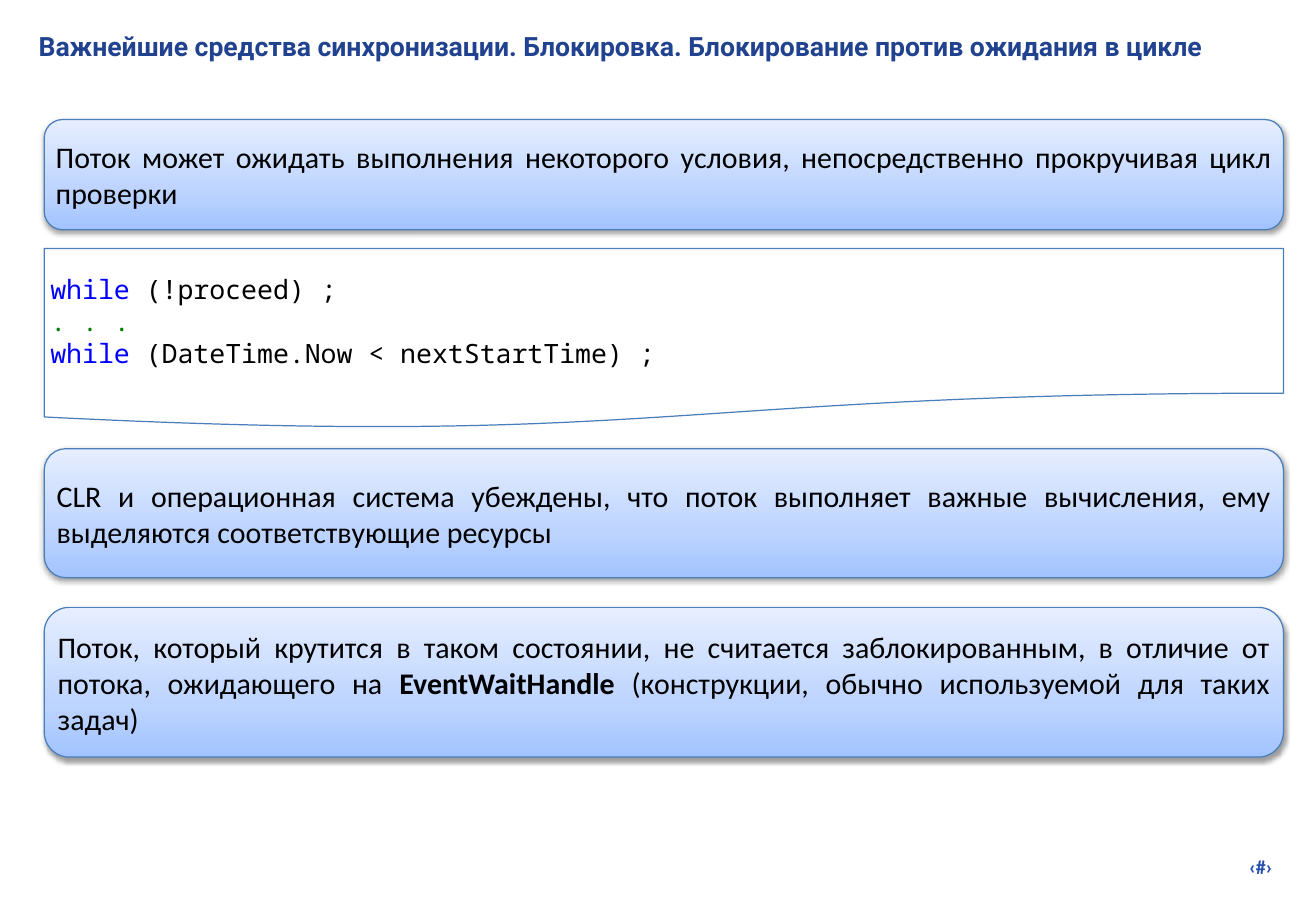
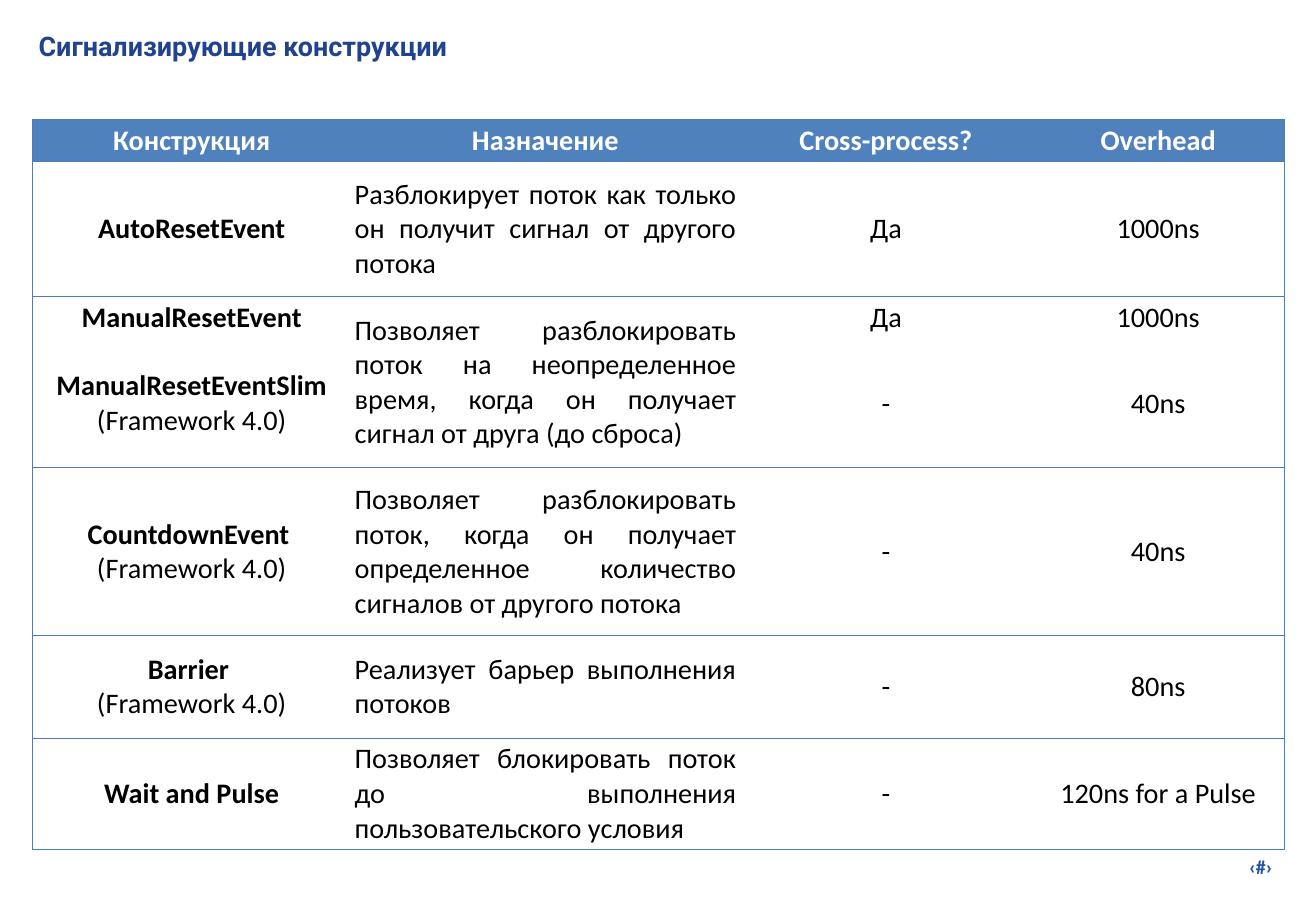
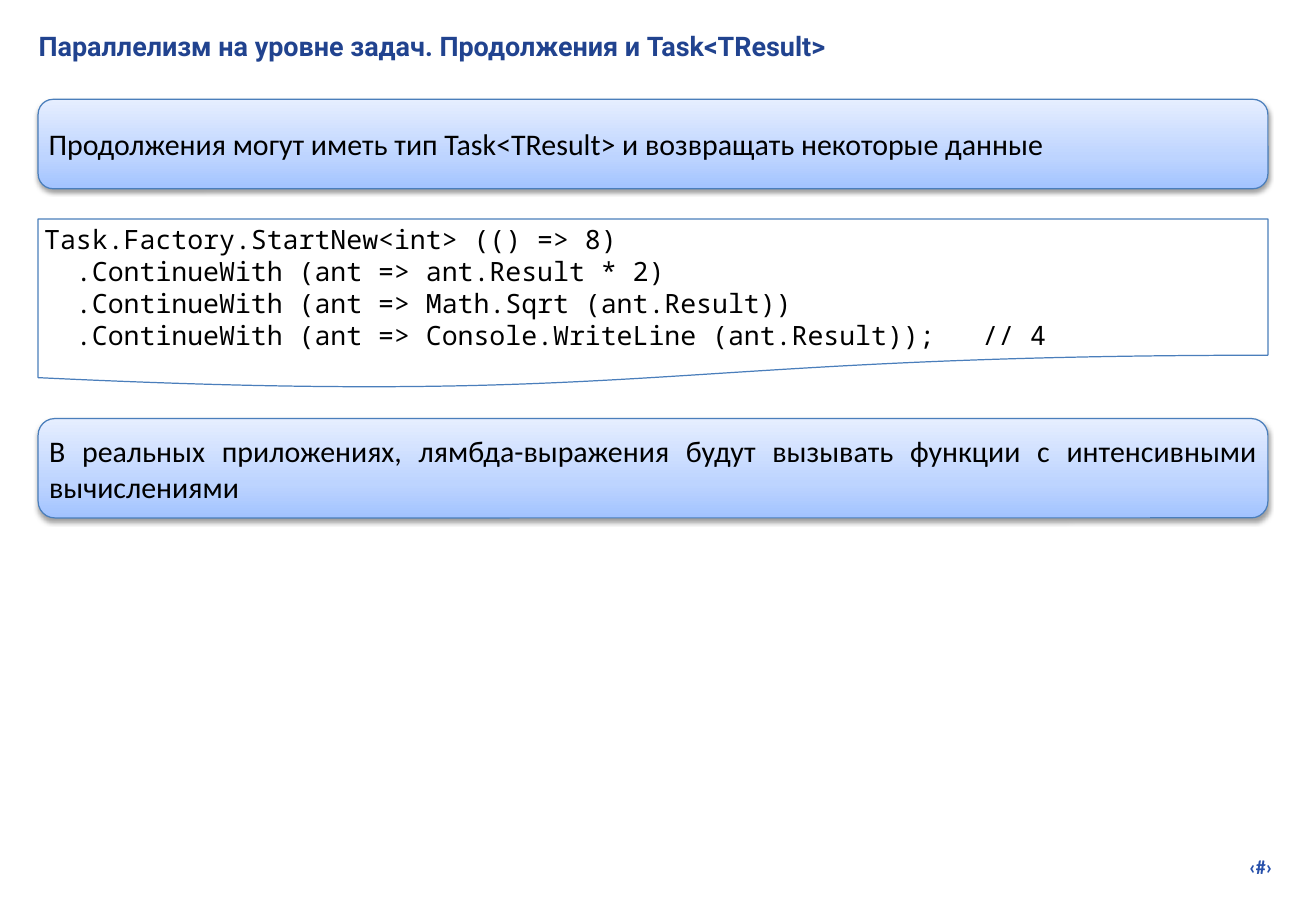
from copy import deepcopy
from dataclasses import dataclass

from lxml.etree import SubElement
from pptx import Presentation
from pptx.dml.color import RGBColor
from pptx.enum.shapes import MSO_SHAPE as Shape
from pptx.enum.text import MSO_ANCHOR as Anchor, MSO_AUTO_SIZE as AutoSize, PP_ALIGN as Align
from pptx.oxml.ns import qn
from pptx.util import Cm, Pt

WHITE, BLACK = "FFFFFF", "000000"
TITLE_BLUE, NUMBER_BLUE = "21438F", "2750AB"
LINE_BLUE, HEADER_BLUE = "4A7EBB", "4F81BD"
KEYWORD, COMMENT = "0000FF", "008000"
PANEL_STOPS = [(0, "A2C3FF"), (0.35, "BDD4FF"), (1, "E6EEFF")]


def color(value):
    return RGBColor.from_string(value)


@dataclass(frozen=True)
class TextStyle:
    size: float
    font: str = "Calibri"
    color: str = BLACK
    bold: bool = False
    align: Align = Align.LEFT


PANEL_TEXT = TextStyle(18, align=Align.JUSTIFY)
CODE_TEXT = TextStyle(16, "Noto Sans Mono")
NUMBER_TEXT = TextStyle(12, color=NUMBER_BLUE, bold=True, align=Align.RIGHT)
HEADER_TEXT = TextStyle(17, color=WHITE, bold=True, align=Align.CENTER)
CELL_TEXT = TextStyle(17, align=Align.CENTER)
PURPOSE_TEXT = TextStyle(17, align=Align.JUSTIFY)


class Deck:
    def __init__(self):
        self.presentation = Presentation()
        self.presentation.slide_width = Cm(27.94)
        self.presentation.slide_height = Cm(19.05)
        self.slide = None

    def add_slide(self, title, size):
        layout = self.presentation.slide_layouts[5]
        self.slide = self.presentation.slides.add_slide(layout)
        self.add_page_number()
        shape = self.slide.shapes.title
        shape.left, shape.top, shape.width, shape.height = Cm(0.69), Cm(0.5), Cm(26.67), Cm(1.02)
        style = TextStyle(size, "Roboto", TITLE_BLUE, True)
        self.fill_frame(shape.text_frame, [plain(title)], style, Anchor.TOP)

    def add_page_number(self):
        box = self.slide.shapes.add_textbox(Cm(21.23), Cm(18.03), Cm(5.92), Cm(0.74))
        self.fill_frame(box.text_frame, [plain("‹#›")], NUMBER_TEXT, Anchor.TOP)

    def fill_frame(self, frame, paragraphs, style, anchor=Anchor.MIDDLE):
        frame.word_wrap = True
        frame.auto_size = AutoSize.NONE
        frame.vertical_anchor = anchor
        frame.margin_left = frame.margin_right = Cm(0.13)
        frame.margin_top = frame.margin_bottom = Cm(0.13)
        self.add_text(frame, paragraphs, style)

    def add_text(self, frame, paragraphs, style):
        for index, runs in enumerate(paragraphs):
            paragraph = frame.add_paragraph() if index else frame.paragraphs[0]
            paragraph.alignment = style.align
            for text, changes in runs:
                run = paragraph.add_run()
                run.text = text
                run.font.name = style.font
                run.font.size = Pt(style.size)
                run.font.bold = changes.get("bold", style.bold)
                run.font.color.rgb = color(changes.get("color", style.color))

    def add_outlined(self, kind, left, top, width, height):
        shape = self.slide.shapes.add_shape(kind, Cm(left), Cm(top), Cm(width), Cm(height))
        shape.shadow.inherit = False
        shape.line.color.rgb = color(LINE_BLUE)
        shape.line.width = Pt(0.75)
        return shape

    def add_panel(self, left, top, width, height, runs):
        shape = self.add_outlined(Shape.ROUNDED_RECTANGLE, left, top, width, height)
        shape.adjustments[0] = 0.167
        shape.fill.gradient()
        shape.fill.gradient_angle = 90
        properties = shape.element.spPr
        stop_list = properties.find(".//" + qn("a:gsLst"))
        stop_list.append(deepcopy(stop_list[0]))
        for stop, (position, value) in zip(shape.fill.gradient_stops, PANEL_STOPS):
            stop.position = position
            stop.color.rgb = color(value)
        shadow = SubElement(
            properties.find(qn("a:effectLst")), qn("a:outerShdw"),
            blurRad=str(Pt(3)), dist=str(Pt(1.6)), dir="5400000", rotWithShape="0")
        shade = SubElement(shadow, qn("a:srgbClr"), val=BLACK)
        SubElement(shade, qn("a:alpha"), val="38000")
        self.fill_frame(shape.text_frame, [runs], PANEL_TEXT)

    def add_code(self, left, top, width, height, lines):
        shape = self.add_outlined(Shape.FLOWCHART_DOCUMENT, left, top, width, height)
        shape.fill.solid()
        shape.fill.fore_color.rgb = color(WHITE)
        self.fill_frame(shape.text_frame, lines, CODE_TEXT)

    def add_table(self, left, top, widths, heights, rows, joined_row, merged_column):
        table = self.slide.shapes.add_table(
            len(heights), len(widths), Cm(left), Cm(top), Cm(sum(widths)), Cm(sum(heights))).table
        for column, width in zip(table.columns, widths):
            column.width = Cm(width)
        for row, height in zip(table.rows, heights):
            row.height = Cm(height)
        table.cell(joined_row, merged_column).merge(table.cell(joined_row + 1, merged_column))
        for row, contents in enumerate(rows):
            for column, paragraphs in enumerate(contents):
                cell = table.cell(row, column)
                self.set_borders(cell, {
                    "L": column == 0,
                    "R": column == len(widths) - 1,
                    "T": row != joined_row + 1,
                    "B": row != joined_row or column == merged_column,
                })
                self.fill_cell(cell, paragraphs, row == 0, column == merged_column)

    def fill_cell(self, cell, paragraphs, is_header, is_purpose):
        cell.margin_left = cell.margin_right = Cm(0.08)
        cell.margin_top = cell.margin_bottom = Cm(0.08)
        cell.vertical_anchor = Anchor.TOP if is_header else Anchor.MIDDLE
        if is_header:
            cell.fill.solid()
            cell.fill.fore_color.rgb = color(HEADER_BLUE)
            style = HEADER_TEXT
        else:
            cell.fill.background()
            style = PURPOSE_TEXT if is_purpose else CELL_TEXT
        self.add_text(cell.text_frame, paragraphs, style)

    def set_borders(self, cell, sides):
        properties = cell._tc.get_or_add_tcPr()
        for side, visible in sides.items():
            line = SubElement(properties, qn("a:ln" + side), w=str(Pt(0.75)))
            if visible:
                fill = SubElement(line, qn("a:solidFill"))
                SubElement(fill, qn("a:srgbClr"), val=LINE_BLUE)
            else:
                SubElement(line, qn("a:noFill"))


def plain(text):
    return [(text, {})]


def bold(text):
    return [(text, {"bold": True})]


def colored(text, value):
    return [(text, {"color": value})]


def build_blocking(deck):
    left, width = 0.94, 26.31
    deck.add_slide("Важнейшие средства синхронизации. Блокировка. "
                   "Блокирование против ожидания в цикле", 16)
    deck.add_panel(left, 2.54, width, 2.34, plain(
        "Поток может ожидать выполнения некоторого условия, "
        "непосредственно прокручивая цикл проверки"))
    deck.add_code(left, 5.28, width, 3.83, [
        colored("while", KEYWORD) + plain(" (!proceed) ;"),
        colored(". . .", COMMENT),
        colored("while", KEYWORD) + plain(" (DateTime.Now < nextStartTime) ;"),
    ])
    deck.add_panel(left, 9.53, width, 2.74, plain(
        "CLR и операционная система убеждены, что поток выполняет важные вычисления, "
        "ему выделяются соответствующие ресурсы"))
    deck.add_panel(left, 12.9, width, 3.18, [
        *plain("Поток, который крутится в таком состоянии, не считается заблокированным, "
               "в отличие от потока, ожидающего на "),
        *bold("EventWaitHandle"),
        *plain(" (конструкции, обычно используемой для таких задач)"),
    ])


def build_signalling(deck):
    framework = plain("(Framework 4.0)")
    header = ["Конструкция", "Назначение", "Cross-process?", "Overhead"]
    constructs = [
        ([bold("AutoResetEvent")],
         "Разблокирует поток как только он получит сигнал от другого потока", "Да", "1000ns"),
        ([bold("ManualResetEvent")],
         "Позволяет разблокировать поток на неопределенное время, "
         "когда он получает сигнал от друга (до сброса)", "Да", "1000ns"),
        ([bold("ManualResetEventSlim"), framework], None, "-", "40ns"),
        ([bold("CountdownEvent "), framework],
         "Позволяет разблокировать поток, когда он получает "
         "определенное количество сигналов от другого потока", "-", "40ns"),
        ([bold("Barrier "), framework], "Реализует барьер выполнения потоков", "-", "80ns"),
        ([bold("Wait and Pulse")],
         "Позволяет блокировать поток до выполнения пользовательского условия",
         "-", "120ns for a Pulse"),
    ]
    rows = [[[plain_bold] for plain_bold in map(bold, header)]]
    for name, *texts in constructs:
        rows.append([name] + [[plain(text)] if text else [] for text in texts])
    deck.add_slide("Сигнализирующие конструкции", 16.2)
    deck.add_table(0.69, 2.54, [6.76, 8.26, 6.2, 5.36],
                   [0.81, 2.87, 0.81, 2.74, 3.56, 2.18, 2.18],
                   rows, joined_row=2, merged_column=1)


def build_continuations(deck):
    left, width = 0.81, 26.11
    deck.add_slide("Параллелизм на уровне задач. Продолжения и Task<TResult>", 16.2)
    deck.add_panel(left, 2.11, width, 1.9, plain(
        "Продолжения могут иметь тип Task<TResult> и возвращать некоторые данные"))
    deck.add_code(left, 4.65, width, 3.61, [plain(line) for line in (
        "Task.Factory.StartNew<int> (() => 8)",
        "  .ContinueWith (ant => ant.Result * 2)",
        "  .ContinueWith (ant => Math.Sqrt (ant.Result))",
        "  .ContinueWith (ant => Console.WriteLine (ant.Result));   // 4",
    )])
    deck.add_panel(left, 8.89, width, 2.11, plain(
        "В реальных приложениях, лямбда-выражения будут вызывать функции "
        "с интенсивными вычислениями"))


def main():
    deck = Deck()
    build_blocking(deck)
    build_signalling(deck)
    build_continuations(deck)
    deck.presentation.save("out.pptx")


if __name__ == "__main__":
    main()
